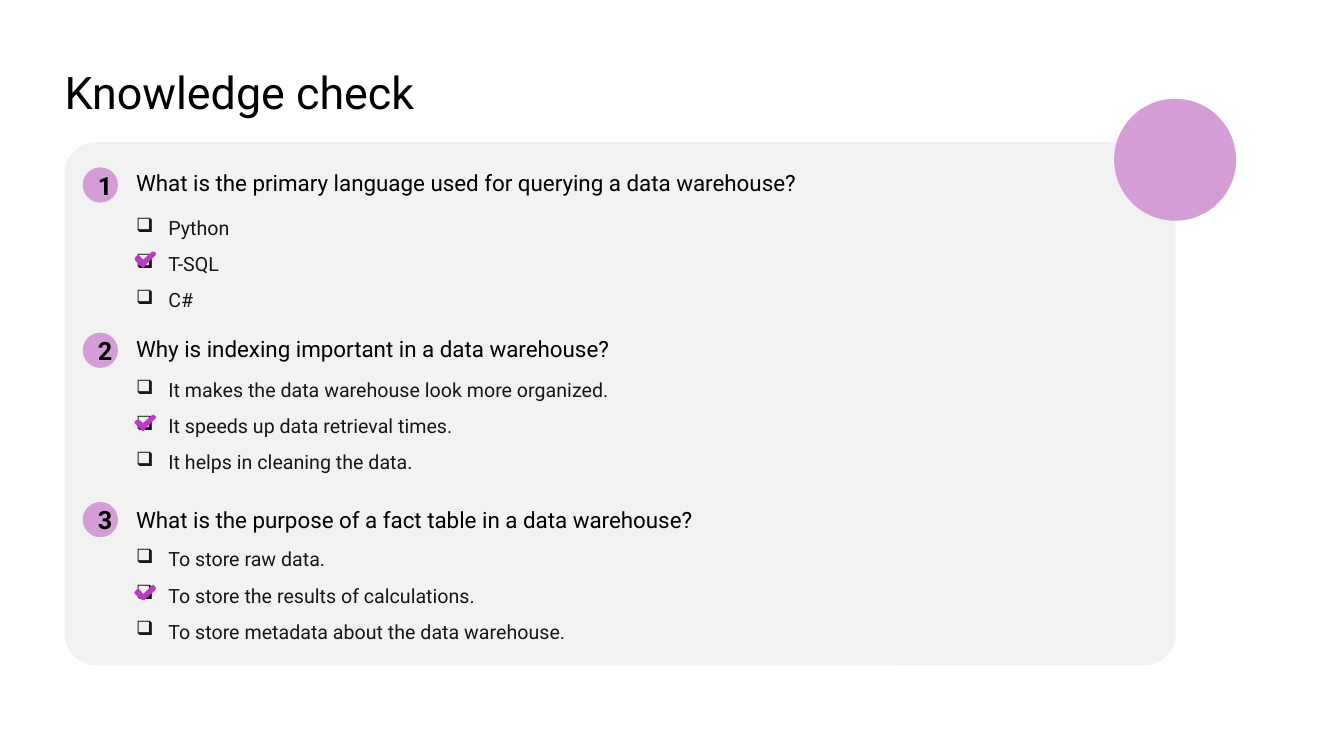
from lxml.etree import SubElement
from pptx import Presentation
from pptx.dml.color import RGBColor
from pptx.enum.shapes import MSO_SHAPE
from pptx.enum.text import MSO_ANCHOR, PP_ALIGN
from pptx.oxml.ns import qn
from pptx.util import Inches, Pt

COLORS = {
    "panel": "F2F2F2",
    "lilac": "D59DD7",
    "black": "000000",
    "answer": "171717",
    "tick_fill": "091F2E",
    "tick_line": "BF3AC4",
}
FORMATS = {
    "title": {"size": Pt(32), "bold": False},
    "number": {"size": Pt(18), "bold": True},
    "question": {"size": Pt(16), "bold": False},
    "answer": {"size": Pt(14), "bold": False},
}
# Tops of number, question, answers and tick, then the texts
QUESTIONS = [
    (1.66, 1.68, 2.14, 2.51,
     "What is the primary language used for querying a data warehouse?",
     ["Python", "T-SQL", "C#"]),
    (3.3, 3.32, 3.75, 4.13,
     "Why is indexing important in a data warehouse?",
     ["It makes the data warehouse look more organized.",
      "It speeds up data retrieval times.",
      "It helps in cleaning the data."]),
    (4.98, 5.02, 5.43, 5.82,
     "What is the purpose of a fact table in a data warehouse?",
     ["To store raw data.",
      "To store the results of calculations.",
      "To store metadata about the data warehouse."]),
]
# Tick outline in hundredths of an inch from its top left corner
TICK = [(17, 0), (7, 9.5), (2, 4.5), (0, 6), (7, 12.5), (8, 11), (18, 1.5)]
TEXT_LEFT = 1.35

deck = Presentation()
deck.slide_width, deck.slide_height = Inches(13.33), Inches(7.5)
page = deck.slides.add_slide(deck.slide_layouts[6])


def add_filled(kind, left, top, width, height, color):
    shape = page.shapes.add_shape(
        kind, Inches(left), Inches(top), Inches(width), Inches(height))
    shape.shadow.inherit = False
    shape.fill.solid()
    shape.fill.fore_color.rgb = RGBColor.from_string(COLORS[color])
    shape.line.fill.background()
    return shape


def write(frame, lines, style, color="black"):
    """Fill a text frame with one paragraph per line and return the paragraphs."""
    frame.text = "\n".join(lines)
    for para in frame.paragraphs:
        for span in para.runs:
            span.font.name = "Roboto"
            span.font.color.rgb = RGBColor.from_string(COLORS[color])
            for name, value in FORMATS[style].items():
                setattr(span.font, name, value)
    return frame.paragraphs


panel = add_filled(MSO_SHAPE.ROUNDED_RECTANGLE, 0.64, 1.41, 11.02, 5.19, "panel")
panel.adjustments[0] = 0.061
add_filled(MSO_SHAPE.OVAL, 11.05, 0.98, 1.21, 1.21, "lilac")

text_boxes = [(0.64, 0.64, 8.96, 0.54, ["Knowledge check"], "title")]
for number, (number_top, question_top, answers_top, tick_top, question,
             answers) in enumerate(QUESTIONS, start=1):
    badge = add_filled(MSO_SHAPE.OVAL, 0.82, number_top, 0.35, 0.35, "lilac")
    badge.text_frame.vertical_anchor = MSO_ANCHOR.MIDDLE
    write(badge.text_frame, [str(number)], "number")[0].alignment = PP_ALIGN.CENTER
    text_boxes += [
        (TEXT_LEFT, question_top, 9.6, 0.27, [question], "question"),
        (TEXT_LEFT, answers_top, 9.6, 0.96, answers, "answer"),
    ]

for left, top, width, height, lines, style in text_boxes:
    box = page.shapes.add_textbox(
        Inches(left), Inches(top), Inches(width), Inches(height))
    frame = box.text_frame
    frame.word_wrap = True
    for side in ("left", "top", "right", "bottom"):
        setattr(frame, f"margin_{side}", 0)
    if style != "answer":
        write(frame, lines, style)
        continue
    for index, para in enumerate(write(frame, lines, style, "answer")):
        para.space_before = Pt(3 if index else 0)
        para.space_after = Pt(6)
        properties = para._p.get_or_add_pPr()
        properties.set("marL", str(Inches(0.32)))
        properties.set("indent", str(-Inches(0.32)))
        SubElement(properties, qn("a:buChar"), char="❑")

for tick_top in (entry[3] for entry in QUESTIONS):
    corners = [(TEXT_LEFT * 100 + x, tick_top * 100 + y) for x, y in TICK]
    builder = page.shapes.build_freeform(*corners[0], scale=Inches(0.01))
    builder.add_line_segments(corners[1:], close=True)
    tick = builder.convert_to_shape()
    tick.shadow.inherit = False
    tick.fill.solid()
    tick.fill.fore_color.rgb = RGBColor.from_string(COLORS["tick_fill"])
    tick.line.color.rgb = RGBColor.from_string(COLORS["tick_line"])
    tick.line.width = Pt(2.5)

deck.save("out.pptx")
